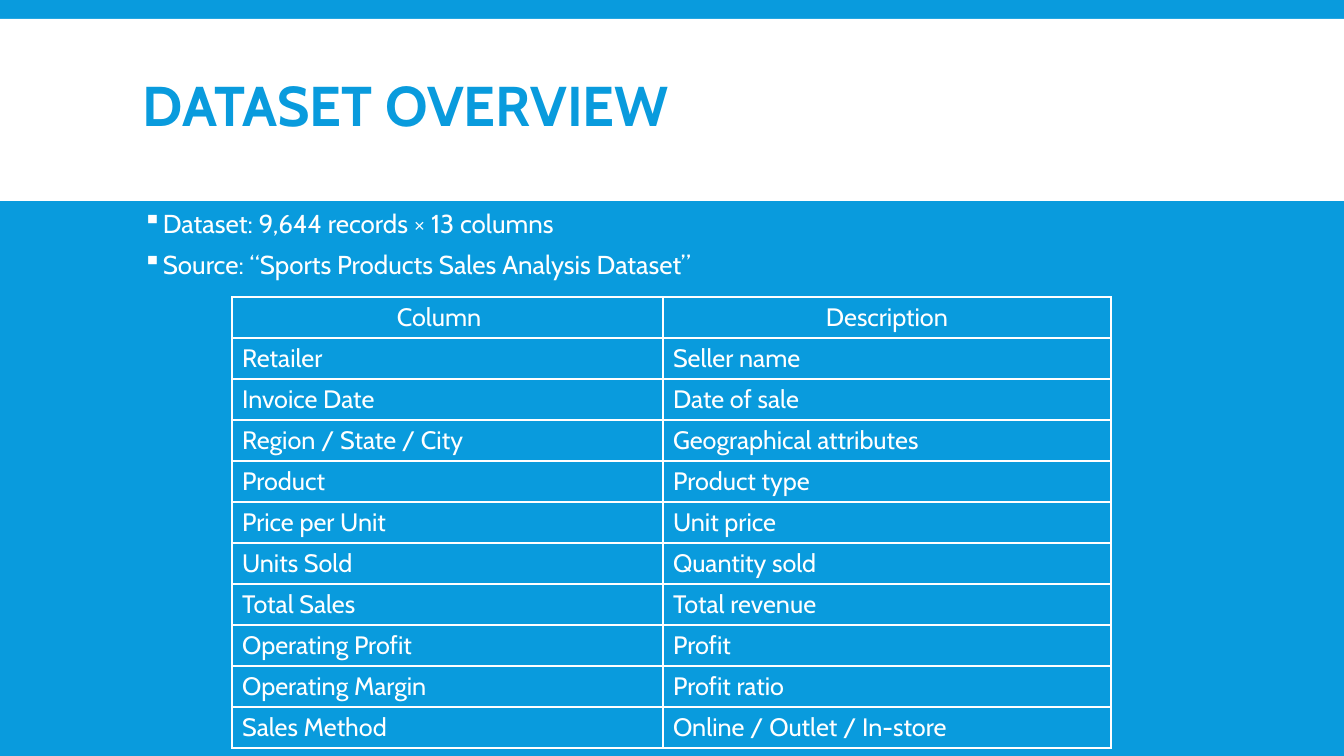
"""Build the dataset overview slide with its column description table."""
import pptx
import pptx.dml.color
import pptx.enum.shapes
import pptx.enum.text
import pptx.oxml
import pptx.oxml.ns
import pptx.util

PX = 914400 / 100.8
THEME = {
    "blue": pptx.dml.color.RGBColor.from_string("099BDD"),
    "white": pptx.dml.color.RGBColor.from_string("FFFFFF"),
    "font": "Cabin",
    "title": pptx.util.Pt(40),
    "body": pptx.util.Pt(18.5),
    "table": pptx.util.Pt(18),
}
FACTS = [
    "Dataset: 9,644 records × 13 columns",
    "Source: “Sports Products Sales Analysis Dataset”",
]
COLUMNS = [
    ("Column", "Description"),
    ("Retailer", "Seller name"),
    ("Invoice Date", "Date of sale"),
    ("Region / State / City", "Geographical attributes"),
    ("Product", "Product type"),
    ("Price per Unit", "Unit price"),
    ("Units Sold", "Quantity sold"),
    ("Total Sales", "Total revenue"),
    ("Operating Profit", "Profit"),
    ("Operating Margin", "Profit ratio"),
    ("Sales Method", "Online / Outlet / In-store"),
]
ROW_HEIGHT = 41
COLUMN_WIDTHS = [431, 448]
NAMESPACE = pptx.oxml.ns.nsdecls("a")


def px(*lengths):
    """Turn pixel lengths into EMU."""
    return [pptx.util.Emu(round(length * PX)) for length in lengths]


def write(para, text, size, color, bold=False):
    """Add one formatted span to a paragraph."""
    span = para.add_run()
    span.text = text
    for name, value in {"name": THEME["font"], "size": size, "bold": bold}.items():
        setattr(span.font, name, value)
    span.font.color.rgb = color


deck = pptx.Presentation()
deck.slide_width, deck.slide_height = px(1344, 756)
page = deck.slides.add_slide(deck.slide_layouts[6])
page.background.fill.solid()
page.background.fill.fore_color.rgb = THEME["blue"]

band = page.shapes.add_shape(
    pptx.enum.shapes.MSO_SHAPE.RECTANGLE, *px(0, 19, 1344, 182)
)
band.shadow.inherit = False
band.fill.solid()
band.fill.fore_color.rgb = THEME["white"]
band.line.fill.background()

title_box = page.shapes.add_textbox(*px(133, 26, 1079, 166))
title_box.text_frame.word_wrap = True
title_box.text_frame.vertical_anchor = pptx.enum.text.MSO_ANCHOR.MIDDLE
title_para = title_box.text_frame.paragraphs[0]
title_para.line_spacing = 0.85
write(title_para, "DATASET OVERVIEW", THEME["title"], THEME["blue"], bold=True)

facts_box = page.shapes.add_textbox(*px(133, 211, 1079, 80))
facts_box.text_frame.word_wrap = True
fact_format = {
    "line_spacing": 0.7,
    "space_before": pptx.util.Pt(12),
    "space_after": pptx.util.Pt(2),
}
indent = px(20)[0]
for index, fact in enumerate(FACTS):
    frame = facts_box.text_frame
    para = frame.add_paragraph() if index else frame.paragraphs[0]
    for name, value in fact_format.items():
        setattr(para, name, value)
    properties = para._p.get_or_add_pPr()
    properties.set("marL", str(indent))
    properties.set("indent", str(-indent))
    for bullet in (
        f'<a:buClr {NAMESPACE}><a:srgbClr val="{THEME["white"]}"/></a:buClr>',
        f'<a:buChar {NAMESPACE} char="▪"/>',
    ):
        properties.append(pptx.oxml.parse_xml(bullet))
    write(para, fact, THEME["body"], THEME["white"])

table = page.shapes.add_table(
    len(COLUMNS),
    len(COLUMN_WIDTHS),
    *px(232, 297, sum(COLUMN_WIDTHS), ROW_HEIGHT * len(COLUMNS)),
).table
for name in ("first_row", "horz_banding"):
    setattr(table, name, False)
for column, width in zip(table.columns, px(*COLUMN_WIDTHS)):
    column.width = width
for row, (table_row, texts) in enumerate(zip(table.rows, COLUMNS)):
    table_row.height = px(ROW_HEIGHT)[0]
    for cell, text in zip(table_row.cells, texts):
        cell.fill.background()
        para = cell.text_frame.paragraphs[0]
        if row == 0:
            para.alignment = pptx.enum.text.PP_ALIGN.CENTER
        write(para, text, THEME["table"], THEME["white"])
        for position, side in enumerate(("lnL", "lnR", "lnT", "lnB")):
            border = pptx.oxml.parse_xml(
                f'<a:{side} {NAMESPACE} w="{pptx.util.Pt(1)}"><a:solidFill>'
                f'<a:srgbClr val="{THEME["white"]}"/></a:solidFill></a:{side}>'
            )
            cell._tc.get_or_add_tcPr().insert(position, border)
table.cell(0, 0).margin_right = px(27)[0]

deck.save("out.pptx")
